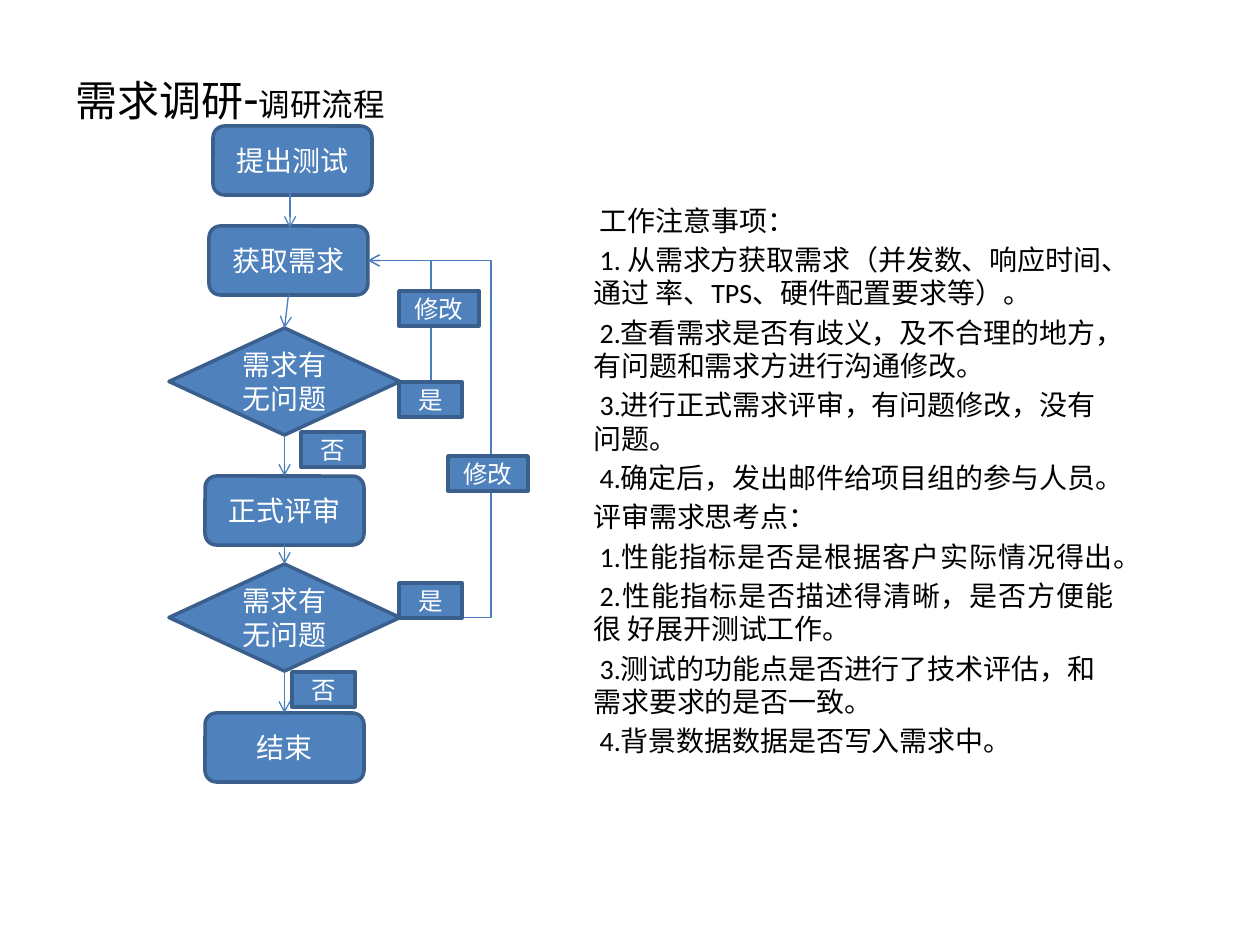
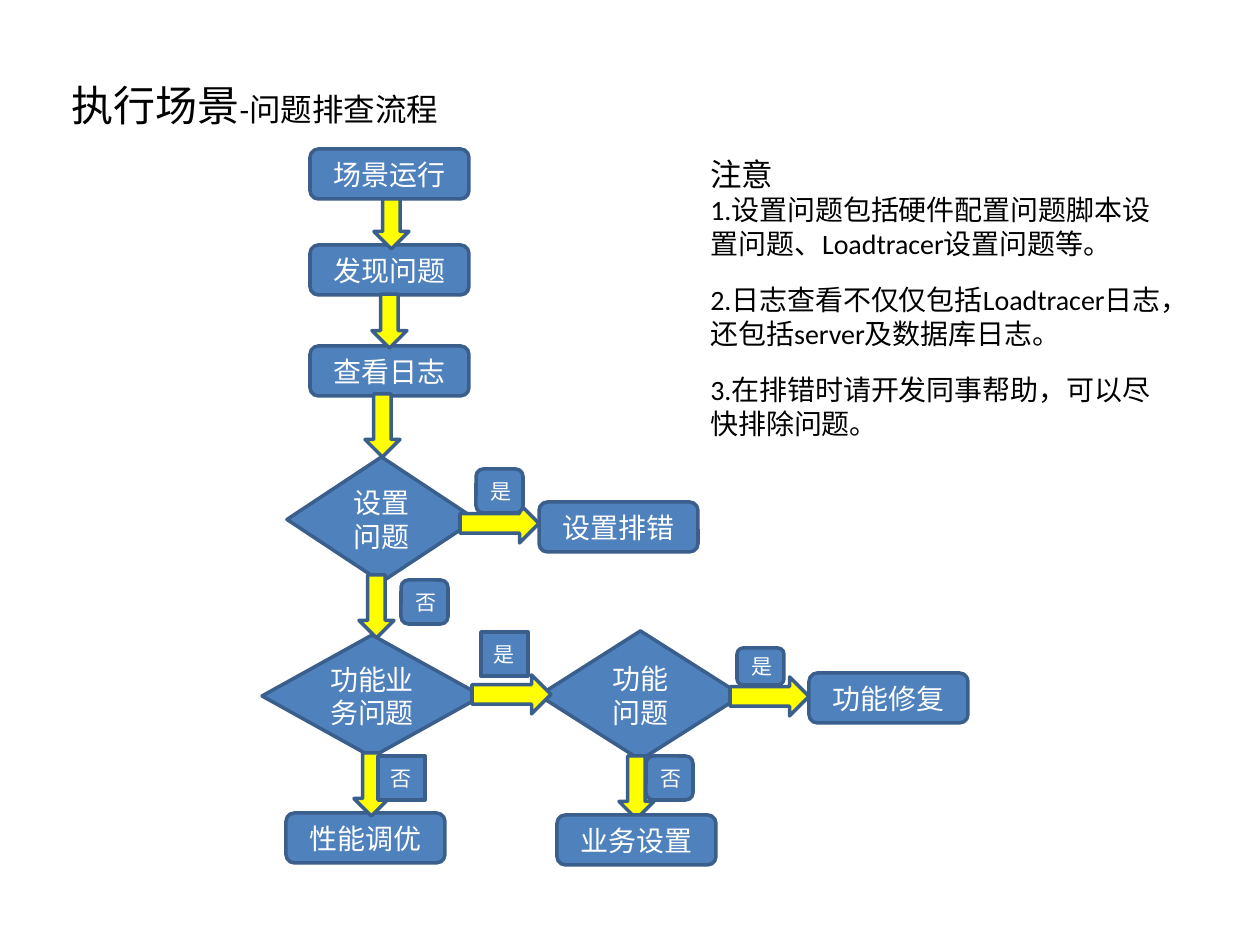
from pptx import Presentation
from pptx.dml.color import RGBColor
from pptx.enum.shapes import MSO_CONNECTOR as CONN, MSO_SHAPE as SHAPE
from pptx.enum.text import MSO_ANCHOR as ANCHOR, PP_ALIGN as ALIGN
from pptx.oxml.ns import qn
from pptx.util import Pt
from lxml.etree import SubElement

EMU_PER_PX = 914400 / 126
TITLE_ONLY = 5
FONT = "Calibri"

BLUE = RGBColor(0x4F, 0x81, 0xBD)
EDGE = RGBColor(0x3A, 0x5F, 0x8C)
LINK = RGBColor(0x4B, 0x7E, 0xBC)
YELLOW = RGBColor(0xFF, 0xFF, 0x00)
WHITE = RGBColor(0xFF, 0xFF, 0xFF)
BLACK = RGBColor(0x00, 0x00, 0x00)

TOP, LEFT, BOTTOM, RIGHT = range(4)


def px(*lengths):
    return [round(n * EMU_PER_PX) for n in lengths]


def add_run(p, text, size=16, color=BLACK):
    r = p.add_run()
    r.text = text
    r.font.name = FONT
    r.font.size = Pt(size)
    r.font.color.rgb = color


def write(p, text, size=16, color=BLACK, align=ALIGN.LEFT, before=0, indent=0):
    add_run(p, text, size, color)
    p.alignment = align
    p.space_before = Pt(before)
    if indent:
        p._p.get_or_add_pPr().set("indent", str(Pt(indent)))


class FlowSlide:
    def __init__(self, prs):
        self.s = prs.slides.add_slide(prs.slide_layouts[TITLE_ONLY])

    def title(self, x, y, w, h, *runs):
        sp = self.s.shapes.title
        sp.left, sp.top, sp.width, sp.height = px(x, y, w, h)
        p = sp.text_frame.paragraphs[0]
        p.alignment = ALIGN.LEFT
        for text, size in runs:
            add_run(p, text, size)

    def text_box(self, x, y, w, h, paragraphs):
        tf = self.s.shapes.add_textbox(*px(x, y, w, h)).text_frame
        tf.word_wrap = True
        for i, (text, style) in enumerate(paragraphs):
            p = tf.add_paragraph() if i else tf.paragraphs[0]
            write(p, text, **style)

    def shape(self, kind, x, y, w, h, text="", size=16, fill=BLUE):
        sp = self.s.shapes.add_shape(kind, *px(x, y, w, h))
        sp.shadow.inherit = False
        sp.fill.solid()
        sp.fill.fore_color.rgb = fill
        sp.line.color.rgb = EDGE
        sp.line.width = Pt(2)
        if text:
            tf = sp.text_frame
            tf.word_wrap = True
            tf.vertical_anchor = ANCHOR.MIDDLE
            write(tf.paragraphs[0], text, size, WHITE, ALIGN.CENTER)
        return sp

    def step(self, text, x, y, w=159, h=50):
        return self.shape(SHAPE.ROUNDED_RECTANGLE, x, y, w, h, text)

    def answer(self, text, x, y, w, h, size, kind=SHAPE.RECTANGLE):
        self.shape(kind, x, y, w, h, text, size)

    def down_arrow(self, x, y, h=63):
        self.shape(SHAPE.DOWN_ARROW, x, y, 35, h, fill=YELLOW)

    def right_arrow(self, x, y):
        self.shape(SHAPE.RIGHT_ARROW, x, y, 79, 39, fill=YELLOW)

    def line(self, x1=0, y1=0, x2=0, y2=0, kind=CONN.STRAIGHT):
        c = self.s.shapes.add_connector(kind, *px(x1, y1, x2, y2))
        c.line.color.rgb = LINK
        c.line.width = Pt(0.75)
        SubElement(c.line._get_or_add_ln(), qn("a:tailEnd"), type="arrow")
        SubElement(c._element.spPr, qn("a:effectLst"))
        return c

    def join(self, start, end):
        c = self.line()
        c.begin_connect(start, BOTTOM)
        c.end_connect(end, TOP)

    def loop_back(self, start, end, rail):
        """Run from one right side to another by way of the vertical x = rail."""
        c = self.line(kind=CONN.ELBOW)
        c.begin_connect(start, RIGHT)
        c.end_connect(end, RIGHT)
        bend = (c.begin_x - px(rail)[0]) / (c.begin_x - c.end_x)
        av = c._element.spPr.find(qn("a:prstGeom")).get_or_add_avLst()
        SubElement(av, qn("a:gd"), name="adj1", fmla=f"val {round(bend * 100000)}")


def research_slide(prs):
    s = FlowSlide(prs)
    s.title(63, 38, 1134, 117, ("需求调研", 24), ("-", 28), ("调研流程", 18))

    plain = dict(before=3.2)
    item = dict(before=3.2, indent=3.6)
    justified = dict(item, align=ALIGN.JUSTIFY)
    s.text_box(581, 197, 546, 673, [
        ("工作注意事项：", item),
        ("1. 从需求方获取需求（并发数、响应时间、通过 率、TPS、硬件配置要求等）。", item),
        ("2.查看需求是否有歧义，及不合理的地方，有问题和需求方进行沟通修改。", item),
        ("3.进行正式需求评审，有问题修改，没有问题。", item),
        ("4.确定后，发出邮件给项目组的参与人员。", item),
        ("评审需求思考点：", plain),
        ("1.性能指标是否是根据客户实际情况得出。", justified),
        ("2.性能指标是否描述得清晰，是否方便能很 好展开测试工作。", justified),
        ("3.测试的功能点是否进行了技术评估，和需求要求的是否一致。", item),
        ("4.背景数据数据是否写入需求中。", item),
    ])

    steps = [("提出测试", 213, 126), ("获取需求", 209, 226),
             ("正式评审", 205, 476), ("结束", 205, 713)]
    request, collect, review, finish = [s.step(*step, h=69) for step in steps]
    first_check, second_check = [
        s.shape(SHAPE.FLOWCHART_DECISION, 169, y, 231, 107, "需求有无问题")
        for y in (328, 564)]

    s.line(290, 188, 290, 228)
    flow = [collect, first_check, review, second_check, finish]
    for start, end in zip(flow, flow[1:]):
        s.join(start, end)
    s.loop_back(first_check, collect, 431)
    s.loop_back(second_check, collect, 491)

    for text, x, y, w in [("是", 399, 382, 63), ("否", 301, 432, 63),
                          ("修改", 399, 291, 80), ("否", 292, 672, 63),
                          ("是", 399, 583, 63), ("修改", 448, 456, 80)]:
        s.answer(text, x, y, w, 35, 14)


def troubleshooting_slide(prs):
    s = FlowSlide(prs)
    s.title(59, 73, 556, 63, ("执行场景", 24), ("-问题排查流程", 18))

    for text, x, y in [("场景运行", 310, 149), ("发现问题", 310, 245),
                       ("查看日志", 310, 346), ("设置排错", 539, 502),
                       ("性能调优", 286, 813), ("功能修复", 809, 673)]:
        s.step(text, x, y)

    s.shape(SHAPE.DIAMOND, 287, 457, 189, 125, "设置问题")
    for x, y, h in [(374, 199, 50), (372, 294, 54), (365, 394, 63), (359, 575, 63)]:
        s.down_arrow(x, y, h)
    s.shape(SHAPE.DIAMOND, 262, 635, 220, 122, "功能业务问题")
    s.shape(SHAPE.DIAMOND, 539, 631, 203, 129, "功能问题")
    s.answer("是", 737, 648, 47, 37, 12, SHAPE.ROUNDED_RECTANGLE)
    for x, y in [(460, 504), (472, 675), (730, 677)]:
        s.right_arrow(x, y)
    for x, y in [(619, 756), (354, 753)]:
        s.down_arrow(x, y)
    s.step("业务设置", 557, 815)

    rounded, square = SHAPE.ROUNDED_RECTANGLE, SHAPE.RECTANGLE
    for text, x, y, kind in [("是", 476, 469, rounded), ("否", 401, 580, rounded),
                             ("是", 481, 632, square), ("否", 646, 756, rounded),
                             ("否", 378, 756, square)]:
        s.answer(text, x, y, 47, 44, 12, kind)

    spaced = dict(before=13)
    s.text_box(698, 149, 478, 344, [
        ("注意", dict(size=18)),
        ("1.设置问题包括硬件配置问题脚本设置问题、Loadtracer设置问题等。", {}),
        ("2.日志查看不仅仅包括Loadtracer日志，还包括server及数据库日志。", spaced),
        ("3.在排错时请开发同事帮助，可以尽快排除问题。", spaced),
    ])


def main():
    prs = Presentation()
    prs.slide_width, prs.slide_height = px(1260, 945)
    research_slide(prs)
    troubleshooting_slide(prs)
    prs.save("out.pptx")


if __name__ == "__main__":
    main()
